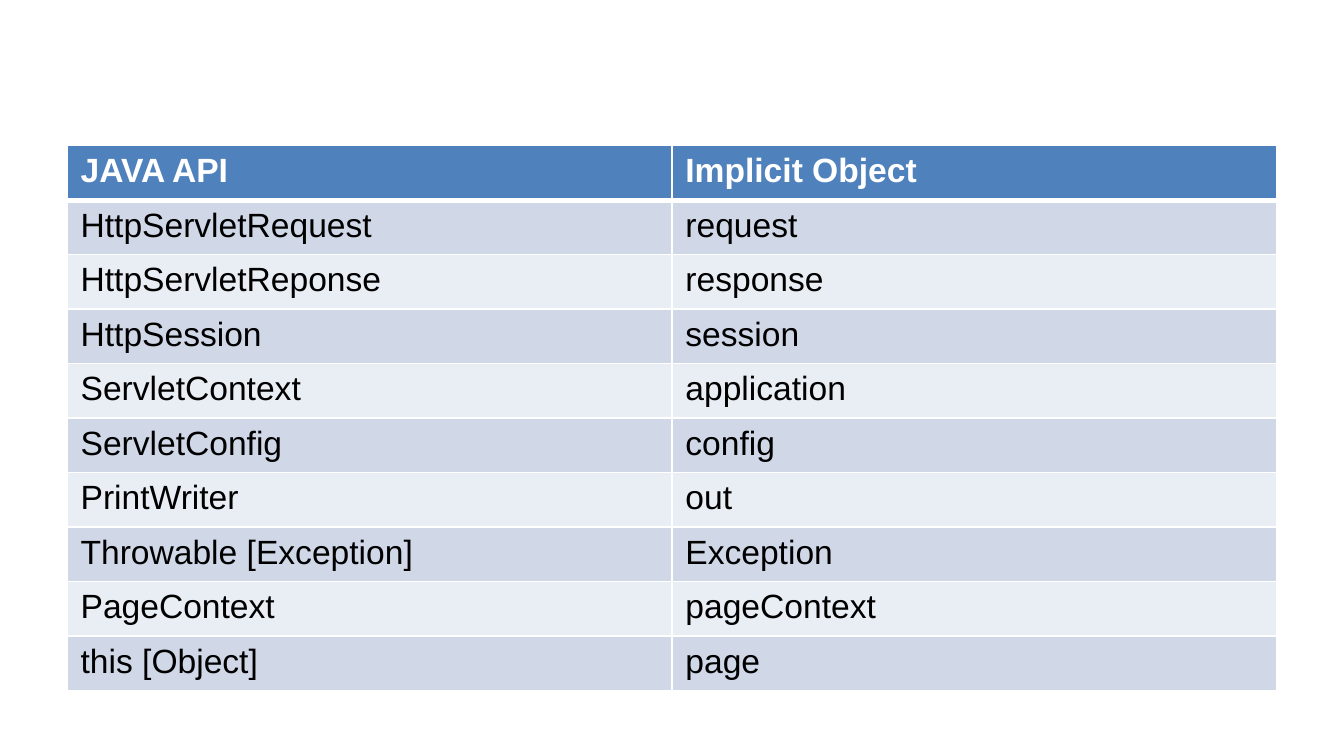
from dataclasses import dataclass

from lxml.etree import SubElement
from pptx import Presentation
from pptx.dml.color import RGBColor as Rgb
from pptx.oxml.ns import qn
from pptx.util import Pt


@dataclass(frozen=True)
class Theme:
    font: str = "Arial"
    size: float = 18
    header_fill: str = "4F81BD"
    header_text: str = "FFFFFF"
    body_text: str = "000000"
    bands: tuple = ("D0D8E8", "E9EDF4")
    rule: str = "FFFFFF"
    thin: float = 1
    thick: float = 3


class SlideBuilder:
    def __init__(self, theme, slide):
        self.theme = theme
        self.slide = slide

    def table(self, rows, left, top, width, row_height):
        frame = self.slide.shapes.add_table(
            len(rows), len(rows[0]), Pt(left), Pt(top), Pt(width), Pt(row_height * len(rows)))
        grid = frame.table
        for column in grid.columns:
            column.width = Pt(width / len(rows[0]))
        for row_index, texts in enumerate(rows):
            grid.rows[row_index].height = Pt(row_height)
            for column_index, text in enumerate(texts):
                self.cell(grid.cell(row_index, column_index), text, row_index)

    def cell(self, cell, text, row_index):
        theme = self.theme
        header = row_index == 0
        self.borders(cell, {
            "L": theme.thin,
            "R": theme.thin,
            "T": theme.thick if row_index == 1 else theme.thin,
            "B": theme.thick if header else theme.thin,
        })
        fill = theme.header_fill if header else theme.bands[(row_index - 1) % 2]
        cell.fill.solid()
        cell.fill.fore_color.rgb = Rgb.from_string(fill)
        run = cell.text_frame.paragraphs[0].add_run()
        run.text = text
        run.font.name = theme.font
        run.font.size = Pt(theme.size)
        run.font.bold = header
        run.font.color.rgb = Rgb.from_string(theme.header_text if header else theme.body_text)

    def borders(self, cell, weights):
        properties = cell._tc.get_or_add_tcPr()
        for side, weight in weights.items():
            line = SubElement(properties, qn(f"a:ln{side}"), w=str(Pt(weight)))
            solid = SubElement(line, qn("a:solidFill"))
            SubElement(solid, qn("a:srgbClr"), val=self.theme.rule)


IMPLICIT_OBJECTS = [
    ("JAVA API", "Implicit Object"),
    ("HttpServletRequest", "request"),
    ("HttpServletReponse", "response"),
    ("HttpSession", "session"),
    ("ServletContext", "application"),
    ("ServletConfig", "config"),
    ("PrintWriter", "out"),
    ("Throwable [Exception]", "Exception"),
    ("PageContext", "pageContext"),
    ("this [Object]", "page"),
]

deck = Presentation()
deck.slide_width, deck.slide_height = Pt(720), Pt(405)
blank_layout = deck.slide_layouts[6]
builder = SlideBuilder(Theme(), deck.slides.add_slide(blank_layout))
builder.table(IMPLICIT_OBJECTS, left=36, top=78, width=648, row_height=29.2)
deck.save("out.pptx")
